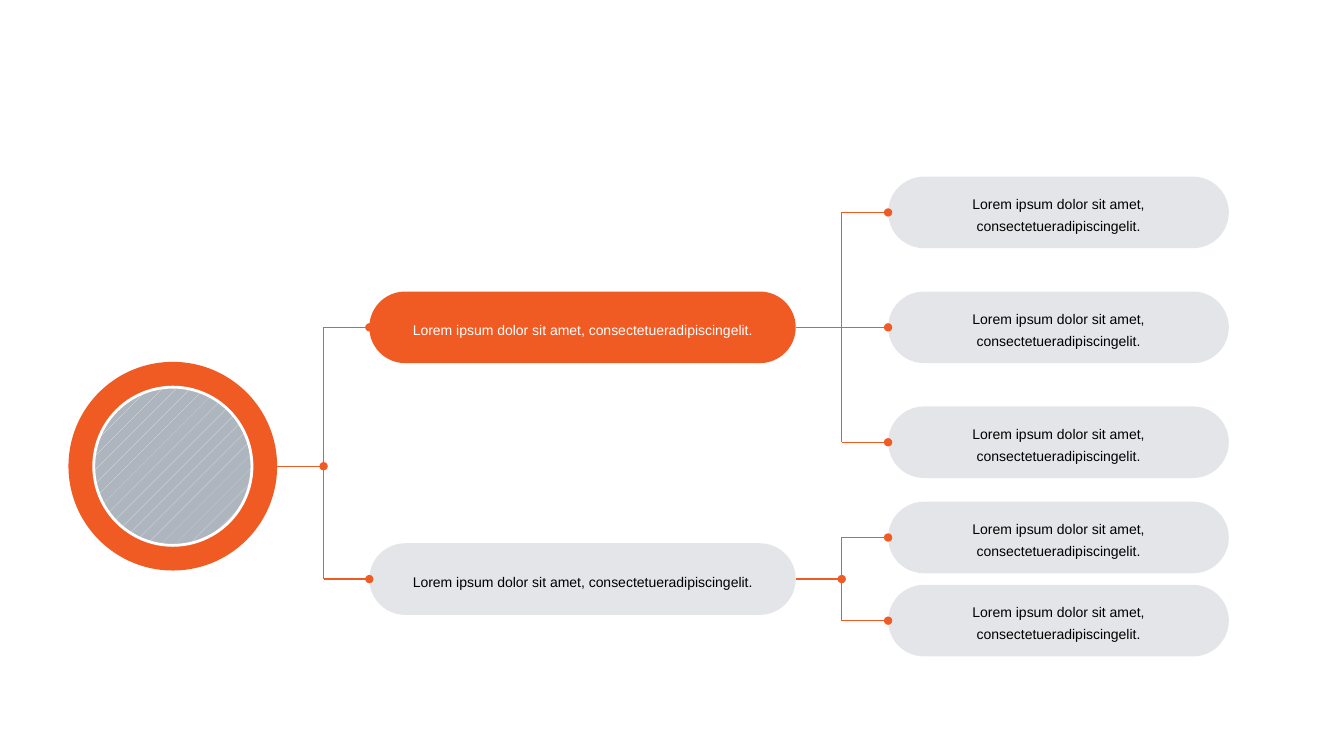
from dataclasses import dataclass

from lxml.etree import SubElement
from pptx import Presentation
from pptx.dml.color import RGBColor
from pptx.enum.dml import MSO_PATTERN
from pptx.enum.shapes import MSO_CONNECTOR, MSO_SHAPE
from pptx.enum.text import MSO_ANCHOR, PP_ALIGN
from pptx.oxml.ns import qn
from pptx.util import Inches, Pt


@dataclass(frozen=True)
class Theme:
    accent: RGBColor = RGBColor(0xF0, 0x5A, 0x23)
    slate: RGBColor = RGBColor(0x44, 0x54, 0x6A)
    slate_opacity: int = 15
    white: RGBColor = RGBColor(0xFF, 0xFF, 0xFF)
    black: RGBColor = RGBColor(0x00, 0x00, 0x00)
    disc_back: RGBColor = RGBColor(0xAD, 0xB5, 0xBF)
    disc_dots: RGBColor = RGBColor(0xE4, 0xE6, 0xEA)
    font: str = "Arial"
    text_size: Pt = Pt(10)
    line_spacing: float = 1.3
    line_width: Pt = Pt(1)
    disc_border: Pt = Pt(2)


THEME = Theme()
SLIDE_WIDTH, SLIDE_HEIGHT = Inches(13.333), Inches(7.5)
LABEL = "Lorem ipsum dolor sit amet, consectetueradipiscingelit."
LEFT_SITE, RIGHT_SITE = 1, 3

# Percentages of the slide's width or height
PILL_HEIGHT = 9.47
MAIN_COLUMN = (27.48, 31.73)  # left, width
LEAF_COLUMN = (66.08, 25.35)
MAIN_TRUNK, LEAF_TRUNK = 24.08, 62.63


def across(percent):
    return round(SLIDE_WIDTH * percent / 100)


def down(percent):
    return round(SLIDE_HEIGHT * percent / 100)


def add_rounded(slide, left, top, width, height):
    shape = slide.shapes.add_shape(MSO_SHAPE.ROUNDED_RECTANGLE, left, top, width, height)
    shape.adjustments[0] = 0.5
    shape.shadow.inherit = False
    shape.line.fill.background()
    return shape


def add_root(slide, center_x, center_y, ring_size, disc_size):
    """Ring with a patterned disc; returns the ring."""
    ring, disc = [
        add_rounded(slide, across(center_x) - size // 2, down(center_y) - size // 2, size, size)
        for size in (down(ring_size), down(disc_size))
    ]
    ring.fill.solid()
    ring.fill.fore_color.rgb = THEME.accent

    disc.fill.patterned()
    disc.fill.pattern = MSO_PATTERN.PERCENT_5
    disc.fill.fore_color.rgb = THEME.disc_dots
    disc.fill.back_color.rgb = THEME.disc_back
    disc.line.color.rgb = THEME.white
    disc.line.width = THEME.disc_border
    return ring


def add_pill(slide, column, center_y, highlighted=False):
    left, width = column
    pill = add_rounded(slide, across(left), down(center_y - PILL_HEIGHT / 2),
                       across(width), down(PILL_HEIGHT))
    pill.fill.solid()
    pill.fill.fore_color.rgb = THEME.accent if highlighted else THEME.slate
    if not highlighted:
        color = pill.fill._xPr.find(qn("a:solidFill"))[0]
        SubElement(color, qn("a:alpha")).set("val", str(THEME.slate_opacity * 1000))

    frame = pill.text_frame
    frame.word_wrap = True
    frame.vertical_anchor = MSO_ANCHOR.MIDDLE
    paragraph = frame.paragraphs[0]
    paragraph.alignment = PP_ALIGN.CENTER
    paragraph.line_spacing = THEME.line_spacing
    run = paragraph.add_run()
    run.text = LABEL
    run.font.name = THEME.font
    run.font.size = THEME.text_size
    run.font.color.rgb = THEME.white if highlighted else THEME.black
    return pill


def add_line(slide, start, end, dotted=True):
    line = slide.shapes.add_connector(MSO_CONNECTOR.STRAIGHT, *start, *end)
    line.line.color.rgb = THEME.accent
    line.line.width = THEME.line_width
    if dotted:
        SubElement(line.line._get_or_add_ln(), qn("a:headEnd")).set("type", "oval")
    SubElement(line._element.spPr, qn("a:effectLst"))
    return line


def middle(shape):
    return shape.top + shape.height // 2


def add_branch(slide, parent, children, trunk):
    """Trunk beside the parent, with one dotted line to each child."""
    trunk_x, parent_y = across(trunk), middle(parent)
    parent_end = (parent.left + parent.width, parent_y)
    heights = [middle(child) for child in children]
    add_line(slide, (trunk_x, min(heights)), (trunk_x, max(heights)), dotted=False)

    joined = False
    for child, child_y in zip(children, heights):
        level = child_y == parent_y
        end = parent_end if level else (trunk_x, child_y)
        line = add_line(slide, (child.left, child_y), end)
        line.begin_connect(child, LEFT_SITE)
        if level:
            line.end_connect(parent, RIGHT_SITE)
            joined = True

    if not joined:
        stub = add_line(slide, (trunk_x, parent_y), parent_end)
        stub.end_connect(parent, RIGHT_SITE)


def add_topic(slide, center_y, leaf_offsets, highlighted=False):
    """Main pill with its leaves; returns the main pill."""
    topic = add_pill(slide, MAIN_COLUMN, center_y, highlighted)
    leaves = [add_pill(slide, LEAF_COLUMN, center_y + offset) for offset in leaf_offsets]
    add_branch(slide, topic, leaves, LEAF_TRUNK)
    return topic


def main():
    presentation = Presentation()
    presentation.slide_width, presentation.slide_height = SLIDE_WIDTH, SLIDE_HEIGHT
    slide = presentation.slides.add_slide(presentation.slide_layouts[6])

    # Root, then the two topics and the lines that join them
    root = add_root(slide, center_x=12.86, center_y=61.67, ring_size=27.6, disc_size=20.93)
    topics = [
        add_topic(slide, 43.3, (-15.2, 0, 15.2), highlighted=True),
        add_topic(slide, 76.6, (-5.5, 5.5)),
    ]
    add_branch(slide, root, topics, MAIN_TRUNK)

    presentation.save("out.pptx")


if __name__ == "__main__":
    main()
